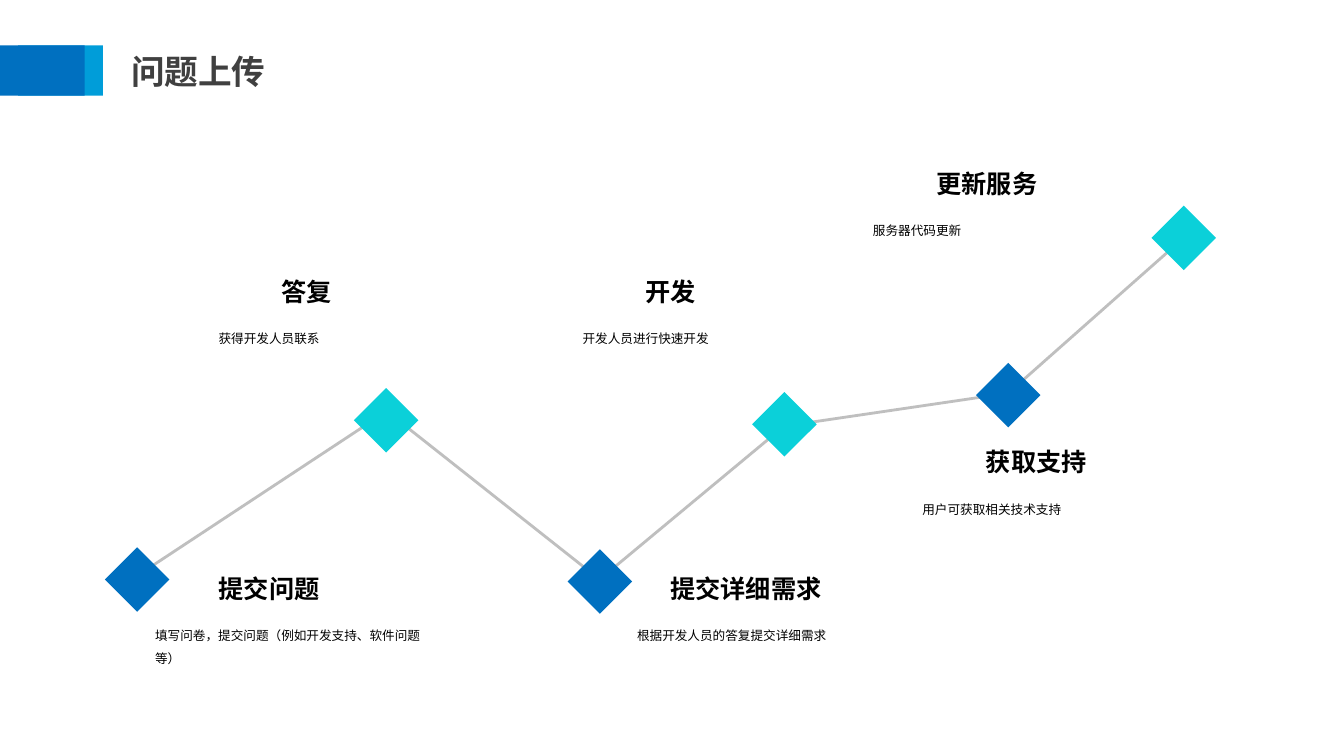
import pptx
import pptx.util
import pptx.dml.color
import pptx.enum.shapes
import pptx.enum.text
import pptx.oxml
import pptx.oxml.ns

Inches = pptx.util.Inches
Pt = pptx.util.Pt
RGBColor = pptx.dml.color.RGBColor
SHAPE = pptx.enum.shapes.MSO_SHAPE
ALIGN = pptx.enum.text.PP_ALIGN
ANCHOR = pptx.enum.text.MSO_ANCHOR
FIT = pptx.enum.text.MSO_AUTO_SIZE

BLUE = RGBColor(0x00, 0x70, 0xC0)
SKY = RGBColor(0x00, 0x9D, 0xD9)
TURQUOISE = RGBColor(0x0B, 0xD0, 0xD9)
GREY = RGBColor(0xBF, 0xBF, 0xBF)
CHARCOAL = RGBColor(0x40, 0x40, 0x40)
BLACK = RGBColor(0, 0, 0)
CJK_FONT = "Noto Sans CJK SC"

HEADING = "问题上传"
STEPS = [
    ("提交问题", (2.07, 5.64), 1.59,
     "填写问卷，提交问题（例如开发支持、软件问题等）", 1.44, 0.55),
    ("答复", (2.69, 2.69), 1.59, "获得开发人员联系", 2.07, 0.33),
    ("提交详细需求", (6.55, 5.64), 2.02,
     "根据开发人员的答复提交详细需求", 6.22, 0.33),
    ("开发", (6.3, 2.69), 1.59, "开发人员进行快速开发", 5.68, 0.33),
    ("获取支持", (9.68, 4.38), 1.59, "用户可获取相关技术支持", 9.05, 0.33),
    ("更新服务", (9.19, 1.62), 1.59, "服务器代码更新", 8.56, 0.33),
]
MILESTONES = [(1.04, 5.43), (3.51, 3.85), (5.63, 5.45),
              (7.46, 3.89), (9.68, 3.6), (11.42, 2.04)]
ROUTE = [
    ((1.44, 5.66), (3.7, 4.17)),
    ((3.95, 4.17), (5.86, 5.68)),
    ((6.03, 5.68), (7.69, 4.3)),
    ((7.9, 4.21), (9.87, 3.92)),
    ((10.08, 3.83), (11.65, 2.44)),
]
MILESTONE_SIZE = 0.64
CAPTION_DROP = 0.47
CAPTION_WIDTH = 2.84
BANNER_TOP, BANNER_WIDTH, BANNER_HEIGHT = 0.45, 0.84, 0.5

LABEL_FONT = {"size": Pt(18), "bold": True, "name": CJK_FONT}
CAPTION_FONT = {"size": Pt(9), "bold": False, "name": CJK_FONT}
HEADING_FONT = {"size": Pt(24), "bold": True, "name": "Arial"}
LABEL_PARAGRAPH = {"alignment": ALIGN.JUSTIFY, "line_spacing": 1.0}
CAPTION_PARAGRAPH = {"alignment": ALIGN.LEFT, "line_spacing": 1.5}
HEADING_PARAGRAPH = {"alignment": ALIGN.LEFT, "line_spacing": 1.0}


def apply(target, values):
    for key, value in values.items():
        setattr(target, key, value)


def write(frame, words, font, paragraph_format, colour):
    apply(frame, {"word_wrap": True, "auto_size": FIT.SHAPE_TO_FIT_TEXT,
                  "vertical_anchor": ANCHOR.TOP})
    paragraph = frame.paragraphs[0]
    apply(paragraph, paragraph_format)
    run = paragraph.add_run()
    run.text = words
    apply(run.font, font)
    run.font.color.rgb = colour
    if font["name"] == CJK_FONT:
        east_asian = pptx.oxml.parse_xml(
            f'<a:ea {pptx.oxml.ns.nsdecls("a")} typeface="{CJK_FONT}"/>')
        run.font._element.find(pptx.oxml.ns.qn("a:latin")).addnext(east_asian)


def add_block(slide, kind, left, top, width, height, colour):
    block = slide.shapes.add_shape(
        kind, Inches(left), Inches(top), Inches(width), Inches(height))
    block.shadow.inherit = False
    block.fill.solid()
    block.fill.fore_color.rgb = colour
    block.line.fill.background()


def add_words(slide, left, top, width, height, *text_format):
    box = slide.shapes.add_textbox(
        Inches(left), Inches(top), Inches(width), Inches(height))
    write(box.text_frame, *text_format)


def add_route(slide, start, end):
    leg = slide.shapes.add_connector(
        pptx.enum.shapes.MSO_CONNECTOR.STRAIGHT,
        *(Inches(value) for value in start + end))
    leg.line.color.rgb = GREY
    leg.line.width = Pt(2)
    leg._element.spPr.append(pptx.oxml.parse_xml(
        f'<a:effectLst {pptx.oxml.ns.nsdecls("a")}/>'))


def main():
    deck = pptx.Presentation()
    deck.slide_width, deck.slide_height = Inches(13.33), Inches(7.5)
    slide = deck.slides.add_slide(deck.slide_layouts[5])

    for start, end in ROUTE:
        add_route(slide, start, end)
    for order, (left, top) in enumerate(MILESTONES):
        add_block(slide, SHAPE.DIAMOND, left, top, MILESTONE_SIZE,
                  MILESTONE_SIZE, TURQUOISE if order % 2 else BLUE)
    for label, (left, top), width, caption, caption_left, height in STEPS:
        add_words(slide, left, top, width, 0.4,
                  label, LABEL_FONT, LABEL_PARAGRAPH, BLACK)
        add_words(slide, caption_left, top + CAPTION_DROP, CAPTION_WIDTH,
                  height, caption, CAPTION_FONT, CAPTION_PARAGRAPH, BLACK)

    for left, colour in ((0.18, SKY), (0, BLUE)):
        add_block(slide, SHAPE.RECTANGLE, left, BANNER_TOP,
                  BANNER_WIDTH, BANNER_HEIGHT, colour)
    heading = slide.shapes.title
    apply(heading, {"left": Inches(1.2), "top": Inches(BANNER_TOP),
                    "width": Inches(1.53), "height": Inches(BANNER_HEIGHT)})
    heading.text_frame.margin_right = 0
    write(heading.text_frame, HEADING, HEADING_FONT, HEADING_PARAGRAPH,
          CHARCOAL)

    deck.save("out.pptx")


if __name__ == "__main__":
    main()
